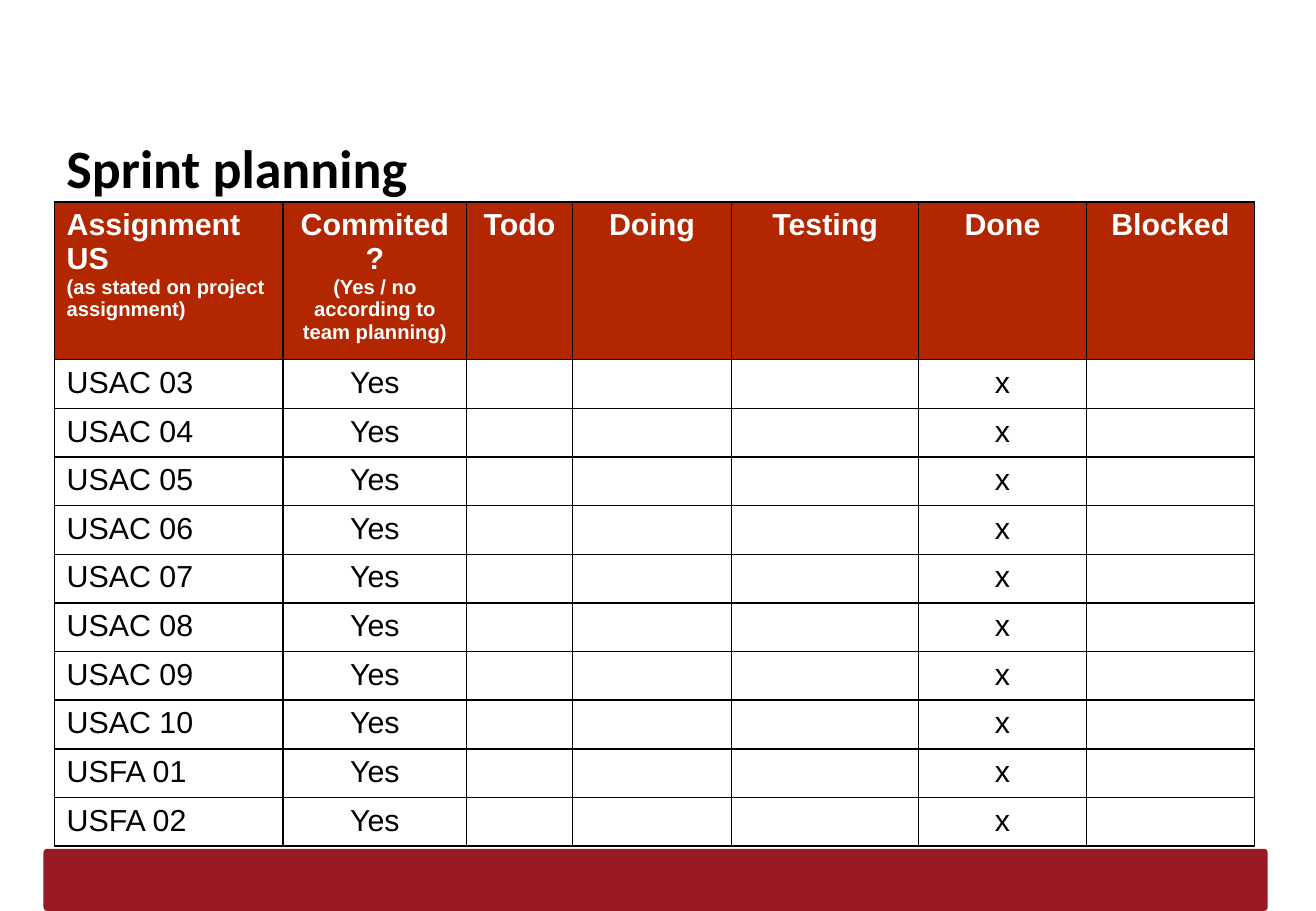
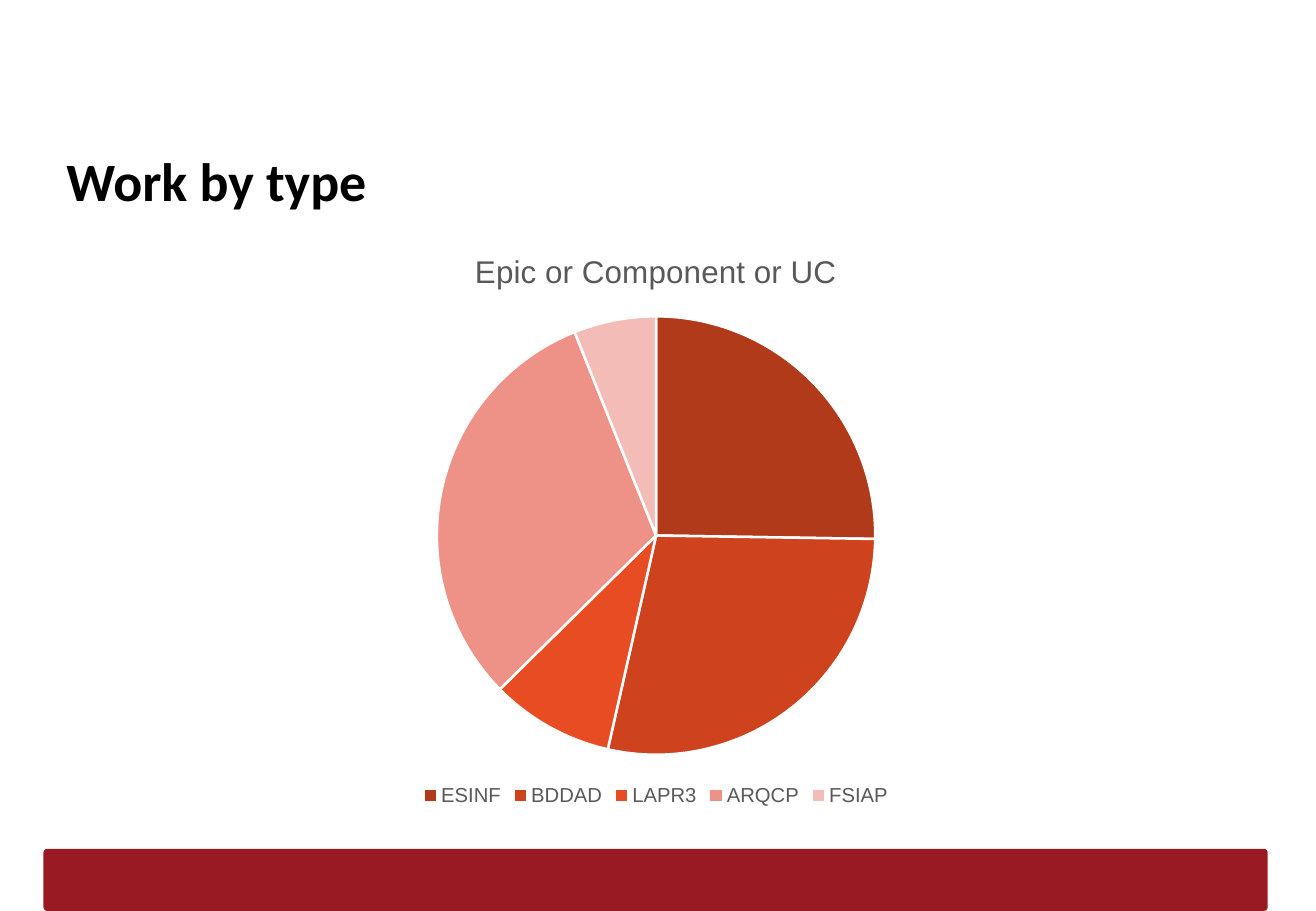
from lxml import etree
from pptx import Presentation
from pptx.chart.data import CategoryChartData
from pptx.dml.color import RGBColor
from pptx.enum.chart import XL_CHART_TYPE as CT, XL_LEGEND_POSITION as LP
from pptx.enum.shapes import MSO_SHAPE as SHAPE
from pptx.enum.text import MSO_ANCHOR as ANCHOR, PP_ALIGN as ALIGN
from pptx.oxml.ns import qn
from pptx.util import Cm, Pt

BLACK, WHITE, GREY = "000000", "FFFFFF", "595959"
BAND, HEADER = "9A1A24", "B22600"
SLICES = ["B03A1A", "CE431E", "E84C22", "EE9288", "F3BCB7"]
HEADINGS = [
    ("Assignment US", "(as stated on project assignment)"),
    ("Commited?", "(Yes / no according to team planning)"),
    ("Todo",), ("Doing",), ("Testing",), ("Done",), ("Blocked",),
]
COL_WIDTHS = [4.78, 3.84, 2.21, 3.33, 3.91, 3.51, 3.51]
STORIES = [f"USAC {n:02}" for n in range(3, 11)] + ["USFA 01", "USFA 02"]
WORK = {"ESINF": 25, "BDDAD": 28, "LAPR3": 9, "ARQCP": 31, "FSIAP": 6}


def rgb(value):
    """Return the colour for a hex string."""
    return RGBColor.from_string(value)


def style_font(font, size, color, bold=False, name="Arial"):
    """Set typeface, size, colour and weight of a font."""
    font.name, font.size, font.bold = name, Pt(size), bold
    font.color.rgb = rgb(color)


def add_base(prs, title, box):
    """Add a slide with the bottom band and a title in the given box."""
    s = prs.slides.add_slide(prs.slide_layouts[6])
    sp = s.shapes.add_shape(SHAPE.ROUNDED_RECTANGLE,
                            Cm(0.91), Cm(17.75), Cm(25.6), Cm(1.3))
    sp.adjustments[0] = 0.06
    sp.shadow.inherit = False
    sp.fill.solid()
    sp.fill.fore_color.rgb = rgb(BAND)
    sp.line.fill.background()
    tf = s.shapes.add_textbox(*map(Cm, box)).text_frame
    tf.word_wrap = True
    tf.vertical_anchor = ANCHOR.TOP
    tf.margin_left = tf.margin_right = tf.margin_bottom = Cm(0.25)
    tf.margin_top = Cm(0.32)
    tf.text = title
    style_font(tf.paragraphs[0].runs[0].font, 32, BLACK, True, "Calibri")
    return s


def set_borders(cell):
    """Draw a black one-point border on every side of a cell."""
    tc_pr = cell._tc.get_or_add_tcPr()
    for i, side in enumerate(("lnL", "lnR", "lnT", "lnB")):
        ln = etree.Element(qn(f"a:{side}"), w=str(Pt(1)))
        fill = etree.SubElement(ln, qn("a:solidFill"))
        etree.SubElement(fill, qn("a:srgbClr"), val=BLACK)
        tc_pr.insert(i, ln)


def fill_cell(cell, lines, color, fill, bold, align):
    """Write a cell with a large first line and smaller lines below."""
    cell.fill.solid()
    cell.fill.fore_color.rgb = rgb(fill)
    set_borders(cell)
    cell.text_frame.text = "\n".join(lines)
    for i, p in enumerate(cell.text_frame.paragraphs):
        p.alignment = align
        for r in p.runs:
            style_font(r.font, 12 if i else 18, color, bold)


def add_planning_table(s, left, top):
    """Add the sprint table with its top left corner at the given point."""
    rows = [HEADINGS]
    rows += [[(t,) for t in (story, "Yes", "", "", "", "x", "")]
             for story in STORIES]
    heights = [2.31] + [0.98] * len(STORIES)
    table = s.shapes.add_table(len(rows), len(COL_WIDTHS), Cm(left), Cm(top),
                               Cm(sum(COL_WIDTHS)), Cm(sum(heights))).table
    table.first_row = table.horz_banding = False
    for col, width in zip(table.columns, COL_WIDTHS):
        col.width = Cm(width)
    for i, (row, height) in enumerate(zip(rows, heights)):
        table.rows[i].height = Cm(height)
        color, fill, bold = (BLACK, WHITE, False) if i else (WHITE, HEADER, True)
        for j, lines in enumerate(row):
            align = ALIGN.CENTER if j else ALIGN.LEFT
            fill_cell(table.cell(i, j), lines, color, fill, bold, align)


def add_work_chart(s, box):
    """Add the pie of work by type in the given box."""
    data = CategoryChartData()
    data.categories = list(WORK)
    data.add_series("Series 1", list(WORK.values()))
    chart = s.shapes.add_chart(CT.PIE, *map(Cm, box), data).chart
    style_font(chart.font, 10, BLACK)
    chart.has_title = True
    tf = chart.chart_title.text_frame
    tf.text = "Epic or Component or UC"
    style_font(tf.paragraphs[0].runs[0].font, 18.6, GREY)
    chart.has_legend = True
    chart.legend.position = LP.BOTTOM
    chart.legend.include_in_layout = False
    style_font(chart.legend.font, 12, GREY)
    plot = chart.plots[0]
    plot.vary_by_categories = True
    for i, color in enumerate(SLICES):
        fmt = plot.series[0].points[i].format
        fmt.fill.solid()
        fmt.fill.fore_color.rgb = rgb(color)
        fmt.line.color.rgb = rgb(WHITE)
        fmt.line.width = Pt(1.5)


def main():
    """Build and save the presentation."""
    prs = Presentation()
    prs.slide_width, prs.slide_height = Cm(27.52), Cm(19.05)
    s = add_base(prs, "Sprint planning", (1.14, 2.49, 25.6, 1.6))
    add_planning_table(s, 1.14, 4.22)
    s = add_base(prs, "Work by type", (1.14, 2.77, 25.12, 1.6))
    add_work_chart(s, (4.55, 4.75, 18.34, 12.22))
    prs.save("out.pptx")


if __name__ == "__main__":
    main()
